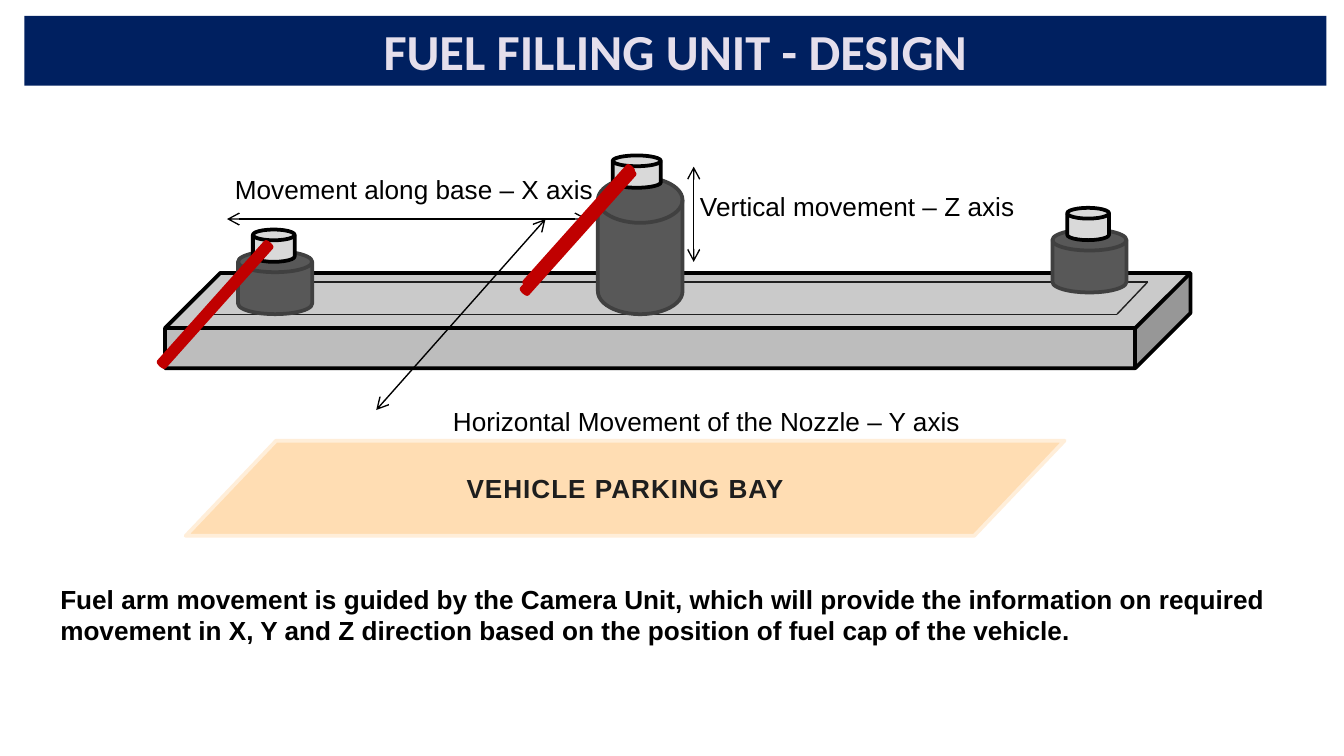
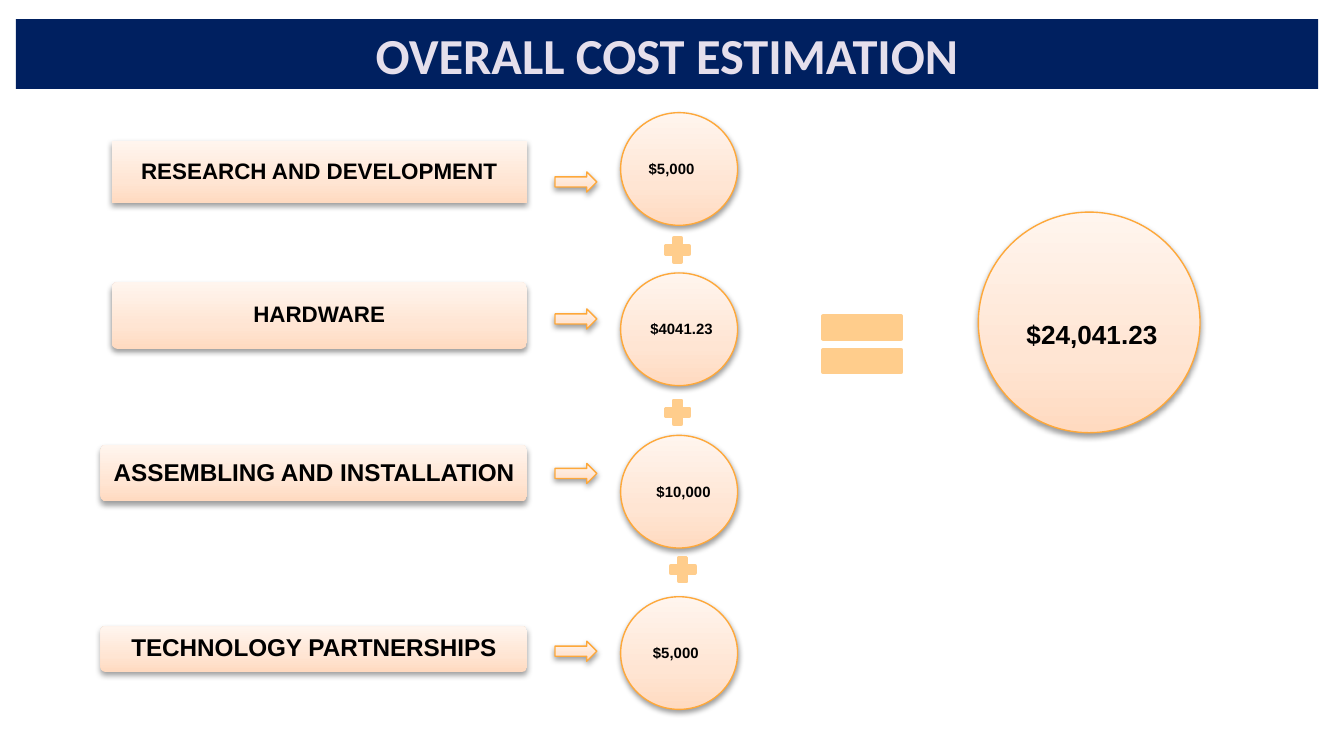
from copy import deepcopy
from lxml.etree import SubElement as sub
from pptx import Presentation
from pptx.dml.color import RGBColor
from pptx.enum.shapes import MSO_CONNECTOR, MSO_SHAPE as Kind
from pptx.enum.text import MSO_ANCHOR, MSO_AUTO_SIZE as Auto, PP_ALIGN as Align
from pptx.oxml.ns import qn
from pptx.util import Cm, Pt

tint = RGBColor.from_string
NAVY, LILAC, BLACK, RED = "002060", "E5DFEC", "000000", "C00000"
STEEL, EDGE, CAP, INK = "585858", "404040", "D9D9D9", "202020"
AMBER, PEACH = "FEA83A", "FFCD8C"
GLOW = [(0, "FFDAC0"), (0.35, "FFE5D3"), (1, "FFF5EE")]


def form(slide, kind, box, fill=None, line=None, wide=2.0):
    """Add a preset shape; without a fill colour it gets the glow and a shadow."""
    item = slide.shapes.add_shape(kind, *map(Cm, box))
    item.shadow.inherit = False
    if fill:
        item.fill.solid()
        item.fill.fore_color.rgb = tint(fill)
    else:
        item.fill.gradient()
        item.fill.gradient_angle = 90
        props = item._element.spPr
        stops = props.find(".//" + qn("a:gsLst"))
        stops.append(deepcopy(stops[-1]))
        for stop, (place, color) in zip(item.fill.gradient_stops, GLOW):
            stop.position = place
            stop.color.rgb = tint(color)
        shade = sub(props.find(qn("a:effectLst")), qn("a:outerShdw"),
                    blurRad=str(Pt(3.1)), dist=str(Pt(1.6)), dir="5400000", rotWithShape="0")
        sub(sub(shade, qn("a:srgbClr"), val=BLACK), qn("a:alpha"), val="38000")
    if line:
        item.line.color.rgb = tint(line)
        item.line.width = Pt(wide)
    else:
        item.line.fill.background()
    return item


def write(item, text, size, color=BLACK, align=Align.LEFT, **look):
    """Put one formatted paragraph into an item and return the paragraph."""
    item.text_frame.text = text
    para = item.text_frame.paragraphs[0]
    para.alignment = align
    font = para.runs[0].font
    font.color.rgb = tint(color)
    for key, value in ({"name": "Arial", "size": Pt(size), "bold": True} | look).items():
        setattr(font, key, value)
    return para


deck = Presentation()
deck.slide_width, deck.slide_height = Cm(25.4), Cm(14.29)

# Title bands
pages = []
for text, left, top in [("FUEL FILLING UNIT - DESIGN", 0.46, 0.3),
                        ("OVERALL COST ESTIMATION", 0.3, 0.36)]:
    page = deck.slides.add_slide(deck.slide_layouts[5])
    band = page.shapes.title
    band.left, band.top, band.width, band.height = map(Cm, (left, top, 24.61, 1.32))
    band.fill.solid()
    band.fill.fore_color.rgb = tint(NAVY)
    write(band, text, 27, LILAC, Align.CENTER, name="Calibri")
    frame = {"margin_left": Cm(0.18), "margin_right": Cm(0.18), "margin_top": Cm(0.1),
             "margin_bottom": Cm(0.1), "vertical_anchor": MSO_ANCHOR.MIDDLE,
             "auto_size": Auto.NONE}
    for key, value in frame.items():
        setattr(band.text_frame, key, value)
    pages.append(page)
design, cost = pages

# Base, its track and the three axis arrows
base = form(design, Kind.CUBE, (3.12, 5.16, 19.38, 1.8), "BDBDBD", BLACK)
base.adjustments[0] = 0.58
for x1, y1, x2, y2, axis in [
    (4.5, 5.33, 3.91, 5.94, False),
    (21.69, 5.33, 21.11, 5.94, False),
    (4.5, 5.33, 21.69, 5.33, False),
    (3.91, 5.94, 21.11, 5.94, False),
    (4.29, 4.14, 11.1, 4.14, True),
    (13.11, 4.95, 13.11, 3.15, True),
    (10.31, 4.14, 7.11, 7.75, True),
]:
    wire = design.shapes.add_connector(MSO_CONNECTOR.STRAIGHT, *map(Cm, (x1, y1, x2, y2)))
    wire.line.color.rgb = tint(BLACK if axis else INK)
    wire.line.width = Pt(0.75)
    if axis:
        for end in ("a:headEnd", "a:tailEnd"):
            sub(wire.get_or_add_ln(), qn(end), type="arrow")
    sub(wire._element.spPr, qn("a:effectLst"))

# Posts with caps, then the fuel arms
for x, y, w, h, cap in [(4.5, 4.75, 1.4, 1.19, 0.79),
                        (19.89, 4.34, 1.4, 1.19, 0.79),
                        (11.3, 3.35, 1.6, 2.59, 0.91)]:
    form(design, Kind.FLOWCHART_MAGNETIC_DISK, (x, y, w, h), STEEL, EDGE)
    form(design, Kind.FLOWCHART_MAGNETIC_DISK, (x + 0.28, y - 0.41, cap, 0.61), CAP, BLACK)
for box in [(3.99, 4.22, 0.15, 3.07), (10.87, 2.79, 0.13, 2.97), (10.85, 2.84, 0.15, 3.07)]:
    arm = form(design, Kind.CAN, box, RED, RED)
    arm.rotation = 221.8

for text, box, wrap, bold in [
    ("Movement along base – X axis", (4.19, 3.15, 7.32, 0.86), False, False),
    ("Vertical movement – Z axis", (12.98, 3.48, 6.5, 0.86), False, False),
    ("Horizontal Movement of the Nozzle – Y axis", (8.31, 7.54, 11.2, 0.86), True, False),
    ("Fuel arm movement is guided by the Camera Unit, which will provide the information "
     "on required movement in X, Y and Z direction based on the position of fuel cap of "
     "the vehicle.", (0.89, 10.9, 23.6, 1.45), True, True),
]:
    note = design.shapes.add_textbox(*map(Cm, box))
    write(note, text, 14, bold=bold)
    note.text_frame.word_wrap = wrap
    note.text_frame.auto_size = Auto.SHAPE_TO_FIT_TEXT

bay = form(design, Kind.PARALLELOGRAM, (3.51, 8.33, 16.61, 1.8), "FFDDB3", "FFEED9")
bay.adjustments[0] = 0.95
para = write(bay, "VEHICLE PARKING BAY", 14, "1E1E1E", Align.CENTER)
para.runs[0].font._element.set("spc", "50")

# Cost rows: label, arrow, circle
EDGE_X = 9.96
sums = []
for text, size, x, y, h, arrow, ring, price, left, wide, align in [
    ("RESEARCH AND DEVELOPMENT", 12, 2.11, 2.67, 1.17, 3.25, 2.13,
     "$5,000", 12.01, 2.08, Align.LEFT),
    ("HARDWARE", 12, 2.11, 5.33, 1.27, 5.84, 5.16,
     "$4041.23", 12.04, 1.75, Align.LEFT),
    ("ASSEMBLING AND INSTALLATION", 13, 1.9, 8.41, 1.07, 8.76, 8.23,
     "$10,000", 12.07, 1.7, Align.CENTER),
    ("TECHNOLOGY PARTNERSHIPS", 13, 1.9, 11.84, 0.86, 12.12, 11.28,
     "$5,000", 12.09, 1.6, Align.LEFT),
]:
    first = not sums
    kind = Kind.FLOWCHART_PROCESS if first else Kind.ROUNDED_RECTANGLE
    label = form(cost, kind, (x, y, EDGE_X - x, h))
    if not first:
        label.adjustments[0] = 0.1
    write(label, text, size, align=Align.CENTER).line_spacing = 0.9
    for side in ("left", "right", "top", "bottom"):
        setattr(label.text_frame, "margin_" + side, Cm(0.13))
    form(cost, Kind.RIGHT_ARROW, (10.49, arrow, 0.79, 0.38), line=AMBER, wide=0.75)
    form(cost, Kind.OVAL, (11.73, ring, 2.21, 2.13), line=AMBER, wide=0.75)
    sums.append((price, 8, (left, ring + 0.76, wide, 0.61), align))

# Total, signs and amounts
form(cost, Kind.OVAL, (18.49, 4.01, 4.19, 4.17), line=AMBER, wide=0.75)
sums.append(("$24,041.23", 14, (19.15, 5.89, 3.25, 0.86), Align.LEFT))
for price, size, box, align in sums:
    note = cost.shapes.add_textbox(*map(Cm, box))
    write(note, price, size, align=align)
    note.text_frame.word_wrap = True
    note.text_frame.auto_size = Auto.SHAPE_TO_FIT_TEXT
for x, y in [(12.5, 4.42), (12.5, 7.49), (12.6, 10.46)]:
    form(cost, Kind.MATH_PLUS, (x, y, 0.61, 0.61), PEACH, PEACH)
form(cost, Kind.MATH_EQUAL, (15.29, 5.61, 2.01, 1.8), PEACH, PEACH)

deck.save("out.pptx")
